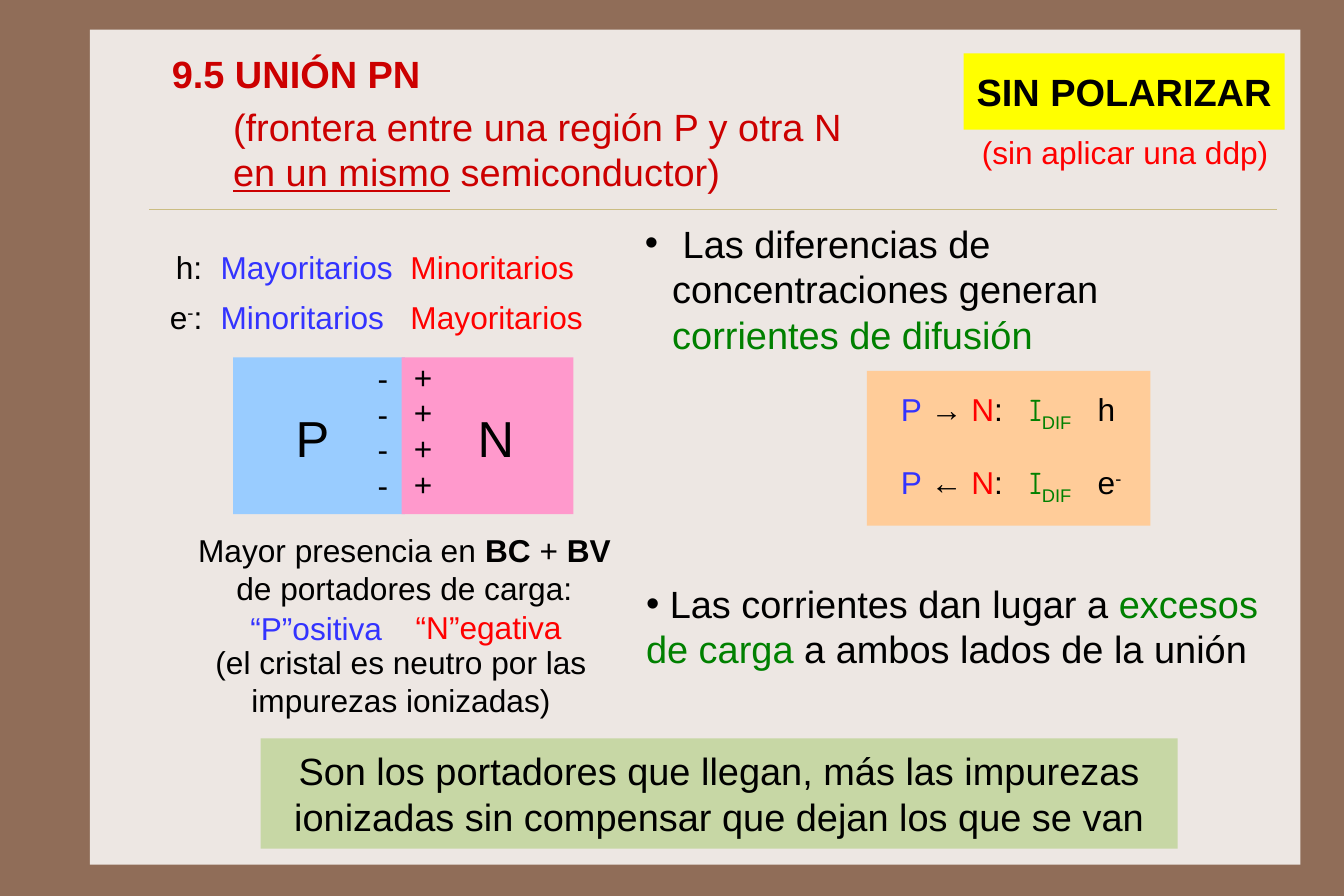
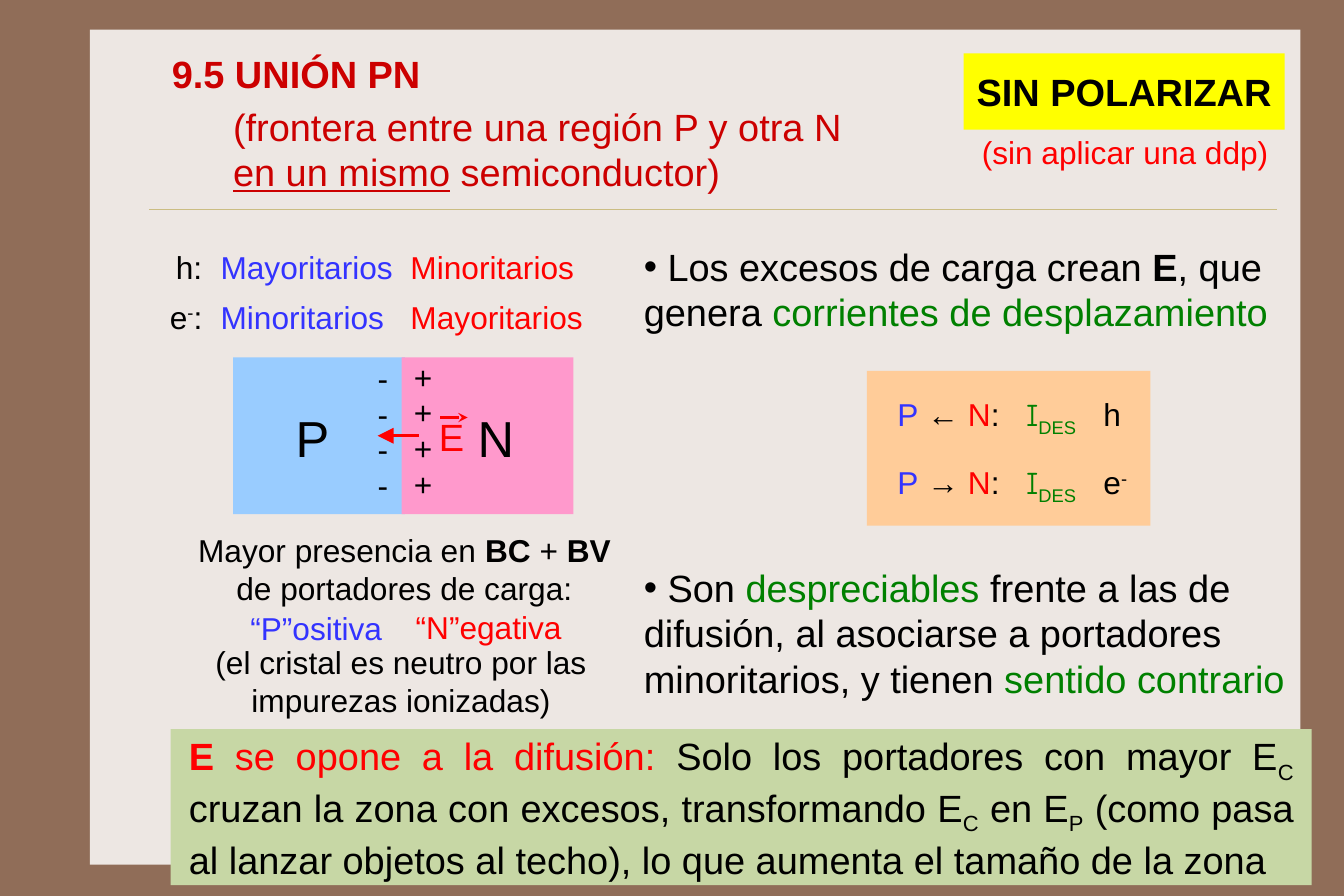
from dataclasses import dataclass

from lxml.etree import SubElement
from pptx import Presentation
from pptx.dml.color import RGBColor
from pptx.enum.shapes import MSO_CONNECTOR, MSO_SHAPE
from pptx.enum.text import MSO_ANCHOR, PP_ALIGN
from pptx.oxml.ns import qn
from pptx.util import Inches, Pt


@dataclass(frozen=True)
class Theme:
    font: str = "Arial"
    symbol_font: str = "Comic Neue"
    heading: int = 24
    body: int = 20
    region: int = 32
    background: str = "906D58"
    panel: str = "EDE7E3"
    rule: str = "CBBD83"
    title: str = "CC0000"
    black: str = "000000"
    red: str = "FF0000"
    blue: str = "3333FF"
    green: str = "008000"
    yellow: str = "FFFF00"
    p_region: str = "99CCFF"
    n_region: str = "FF99CC"
    currents: str = "FFCC99"
    conclusion: str = "C7D7A5"


THEME = Theme()
BOLD = {"bold": True}
RED = {"color": THEME.red}
BLUE = {"color": THEME.blue}
GREEN = {"color": THEME.green}
SUPERSCRIPT = {"baseline": 30}
SUBSCRIPT = {"baseline": -25}
MARGINS = (0.1, 0.13)
SLIDE_HEIGHT = Inches(63) // 8
SLIDE_WIDTH = SLIDE_HEIGHT * 3 // 2

# A paragraph is a list of runs; a run is its text and, if needed, its style.
ELECTRON = [("e",), ("-", SUPERSCRIPT)]
HOLE = [("h",)]
SUBTITLE = [("(frontera entre una región P y otra N ",),
            ("en un mismo", {"underline": True}), (" semiconductor)",)]
CARRIERS = [
    [("\th:",), ("\tMayoritarios", BLUE), ("\tMinoritarios", RED)],
    [("\te",), ("-", SUPERSCRIPT), (":",),
     ("\tMinoritarios", BLUE), ("\tMayoritarios", RED)],
]
CARRIER_TABS = [(0.48, "r"), (0.64, "l"), (2.31, "l")]
REGIONS = [
    ("P", 2.05, THEME.p_region, 2.5),
    ("N", 3.53, THEME.n_region, 4.1),
]
CHARGES = [("-", 3.22, 3.17, 0.29), ("+", 3.54, 3.16, 0.36)]
CHARGES_PER_SIDE = 4
PRESENCE = [
    ((1.63, 4.54, 3.85, 0.94),
     [("Mayor presencia en ",), ("BC ", BOLD), ("+ ",), ("BV ", BOLD),
      ("de portadores de carga:",)]),
    ((3.52, 5.21, 1.55, 0.6), [("“N”egativa", RED)]),
    ((2.05, 5.22, 1.46, 0.6), [("“P”ositiva", BLUE)]),
    ((1.6, 5.52, 3.85, 0.94),
     [("(el cristal es neutro por las impurezas ionizadas)",)]),
]

SLIDES = [
    {
        "points": [
            {"box": (5.57, 2, 4.83, 1.07), "anchor": MSO_ANCHOR.MIDDLE, "hanging": 0.24,
             "runs": [(" Las diferencias de concentraciones generan ",),
                      ("corrientes de difusión", GREEN)]},
            {"box": (5.58, 4.97, 5.68, 1.07), "hanging": 0,
             "runs": [(" Las corrientes dan lugar a ",), ("excesos de carga", GREEN),
                      (" a ambos lados de la unión",)]},
        ],
        "current": "DIF",
        "current_left": 7.82,
        "current_tabs": [(1.13, "l"), (1.73, "l")],
        "flows": [(3.3, "→", HOLE), (3.94, "←", ELECTRON)],
        "field": False,
        "conclusion": {
            "box": (2.29, 6.49, 8.06, 0.97), "align": PP_ALIGN.CENTER, "margins": (0.1, 0.08),
            "runs": [("Son los portadores que llegan, más las impurezas ionizadas "
                      "sin compensar que dejan los que se van",)]},
    },
    {
        "points": [
            {"box": (5.56, 2.01, 5.88, 1.07), "hanging": 0,
             "runs": [(" Los excesos de carga crean ",), ("E", BOLD), (", que genera ",),
                      ("corrientes de desplazamiento", GREEN)]},
            {"box": (5.56, 4.83, 5.88, 1.47), "hanging": 0,
             "runs": [(" Son ",), ("despreciables ", GREEN),
                      ("frente a las de difusión, al asociarse a portadores "
                       "minoritarios, y tienen ",),
                      ("sentido contrario", GREEN)]},
        ],
        "current": "DES",
        "current_left": 7.79,
        "current_tabs": [(1.13, "l"), (1.81, "l")],
        "flows": [(3.34, "←", HOLE), (3.94, "→", ELECTRON)],
        "field": True,
        "conclusion": {
            "box": (1.5, 6.41, 10.03, 1.37), "align": PP_ALIGN.JUSTIFY, "margins": (0.16, 0.08),
            "runs": [("E ", {**RED, **BOLD}), ("se opone a la difusión: ", RED),
                     ("Solo los portadores con mayor E",), ("C", SUBSCRIPT),
                     (" cruzan la zona con excesos, transformando E",), ("C", SUBSCRIPT),
                     (" en E",), ("P", SUBSCRIPT),
                     (" (como pasa al lanzar objetos al techo), "
                      "lo que aumenta el tamaño de la zona",)]},
    },
]


def lengths(values):
    return [Inches(value) for value in values]


def add_run(paragraph, size, color, text, style=None):
    style = style or {}
    run = paragraph.add_run()
    run.text = text
    run.font.name = style.get("font", THEME.font)
    run.font.size = Pt(size)
    run.font.bold = style.get("bold", False)
    run.font.underline = style.get("underline", False)
    run.font.color.rgb = RGBColor.from_string(style.get("color", color))
    if "baseline" in style:
        run.font._element.set("baseline", str(style["baseline"] * 1000))


def set_bullet(paragraph, hanging):
    properties = paragraph._p.get_or_add_pPr()
    properties.set("marL", str(Inches(hanging)))
    properties.set("indent", str(-Inches(hanging)))
    SubElement(properties, qn("a:buFont"), typeface=THEME.font)
    SubElement(properties, qn("a:buChar"), char="•")


def set_tabs(paragraph, tabs):
    tab_list = SubElement(paragraph._p.get_or_add_pPr(), qn("a:tabLst"))
    for position, align in tabs:
        SubElement(tab_list, qn("a:tab"), pos=str(Inches(position)), algn=align)


def write(shape, paragraphs, size=THEME.body, color=THEME.black, align=PP_ALIGN.LEFT,
          anchor=MSO_ANCHOR.TOP, margins=MARGINS, wrap=True, hanging=None, tabs=None,
          line_spacing=None, gap=0):
    """Fill a shape with paragraphs; gap is the space between them in points."""
    frame = shape.text_frame
    frame.word_wrap = wrap
    frame.vertical_anchor = anchor
    frame.margin_left = frame.margin_right = Inches(margins[0])
    frame.margin_top = frame.margin_bottom = Inches(margins[1])
    for index, runs in enumerate(paragraphs):
        paragraph = frame.add_paragraph() if index else frame.paragraphs[0]
        paragraph.alignment = align
        if index and gap:
            paragraph.space_before = Pt(gap)
        if line_spacing:
            paragraph.line_spacing = line_spacing
        if hanging is not None:
            set_bullet(paragraph, hanging)
        if tabs:
            set_tabs(paragraph, tabs)
        for run in runs:
            add_run(paragraph, size, color, *run)


def add_text(slide, box, paragraphs, **options):
    write(slide.shapes.add_textbox(*lengths(box)), paragraphs, **options)


def add_rectangle(slide, box, fill):
    shape = slide.shapes.add_shape(MSO_SHAPE.RECTANGLE, *lengths(box))
    shape.shadow.inherit = False
    shape.fill.solid()
    shape.fill.fore_color.rgb = RGBColor.from_string(fill)
    shape.line.fill.background()
    return shape


def add_line(slide, ends, color, width, arrowhead=None, head_size="med"):
    line = slide.shapes.add_connector(MSO_CONNECTOR.STRAIGHT, *lengths(ends))
    line.line.color.rgb = RGBColor.from_string(color)
    line.line.width = Pt(width)
    if arrowhead:
        SubElement(line.line._get_or_add_ln(), qn("a:tailEnd"),
                   type=arrowhead, w=head_size, len=head_size)
    SubElement(line._element.spPr, qn("a:effectLst"))
    return line


def decorate_master(master, slide):
    """Draw the shared panel and rule, then move them to the master."""
    master.background.fill.solid()
    master.background.fill.fore_color.rgb = RGBColor.from_string(THEME.background)
    panel = add_rectangle(slide, (0.79, 0.26, 10.64, 7.34), THEME.panel)
    rule = add_line(slide, (1.31, 1.84, 11.22, 1.84), THEME.rule, 0.25)
    for shape in (panel, rule):
        master.shapes.element.append(shape.element)


def add_header(slide):
    add_text(slide, (1.4, 0.39, 2.88, 0.51), [[("9.5 UNIÓN PN", BOLD)]], size=THEME.heading,
             color=THEME.title, anchor=MSO_ANCHOR.MIDDLE, margins=(0.11, 0.05))
    add_text(slide, (1.95, 0.78, 5.75, 1.07), [SUBTITLE], size=THEME.heading, color=THEME.title)
    state = add_rectangle(slide, (8.47, 0.47, 2.82, 0.67), THEME.yellow)
    write(state, [[("SIN POLARIZAR", BOLD)]], size=THEME.heading,
          align=PP_ALIGN.CENTER, wrap=False)
    add_text(slide, (8.52, 1.04, 2.74, 0.6), [[("(sin aplicar una ddp)", RED)]],
             align=PP_ALIGN.CENTER, wrap=False)


def add_junction(slide):
    add_text(slide, (1.2, 2.05, 4.23, 1.01), CARRIERS, tabs=CARRIER_TABS, gap=7.5)
    for name, left, fill, name_left in REGIONS:
        add_rectangle(slide, (left, 3.14, 1.51, 1.38), fill)
        add_text(slide, (name_left, 3.45, 0.52, 0.79), [[(name,)]], size=THEME.region)
    for sign, left, top, width in CHARGES:
        add_text(slide, (left, top, width, 1.43), [[(sign,)]] * CHARGES_PER_SIDE,
                 align=PP_ALIGN.CENTER, wrap=False, line_spacing=0.5, gap=10.5)
    for box, runs in PRESENCE:
        add_text(slide, box, [runs], align=PP_ALIGN.CENTER)


def add_field(slide):
    """Draw the electric field vector across the junction."""
    add_line(slide, (3.68, 3.83, 3.32, 3.83), THEME.red, 2, "triangle", "lg")
    add_text(slide, (3.76, 3.59, 0.43, 0.5), [[("E", RED)]], size=THEME.heading,
             margins=(0.1, 0.05))
    add_line(slide, (3.87, 3.67, 4.11, 3.67), THEME.red, 2, "stealth")


def add_currents(slide, content):
    add_rectangle(slide, (7.62, 3.26, 2.49, 1.36), THEME.currents)
    for top, arrow, carrier in content["flows"]:
        runs = [("P", BLUE), (f" {arrow} ",), ("N", RED), (":\t",),
                ("I", {**GREEN, "font": THEME.symbol_font}),
                (content["current"], {**GREEN, **SUBSCRIPT}), ("\t",), *carrier]
        add_text(slide, (content["current_left"], top, 2.3, 0.59), [runs],
                 tabs=content["current_tabs"])


def add_content(slide, content):
    add_header(slide)
    add_junction(slide)
    if content["field"]:
        add_field(slide)
    add_currents(slide, content)
    for point in content["points"]:
        add_text(slide, point["box"], [point["runs"]], size=THEME.heading,
                 hanging=point["hanging"], anchor=point.get("anchor", MSO_ANCHOR.TOP))
    conclusion = content["conclusion"]
    write(add_rectangle(slide, conclusion["box"], THEME.conclusion), [conclusion["runs"]],
          size=THEME.heading, align=conclusion["align"], anchor=MSO_ANCHOR.MIDDLE,
          margins=conclusion["margins"])


def main():
    presentation = Presentation()
    presentation.slide_width = SLIDE_WIDTH
    presentation.slide_height = SLIDE_HEIGHT
    blank = presentation.slide_layouts[6]
    slides = [presentation.slides.add_slide(blank) for _ in SLIDES]
    decorate_master(presentation.slide_master, slides[0])
    for slide, content in zip(slides, SLIDES):
        add_content(slide, content)
    presentation.save("out.pptx")


if __name__ == "__main__":
    main()
